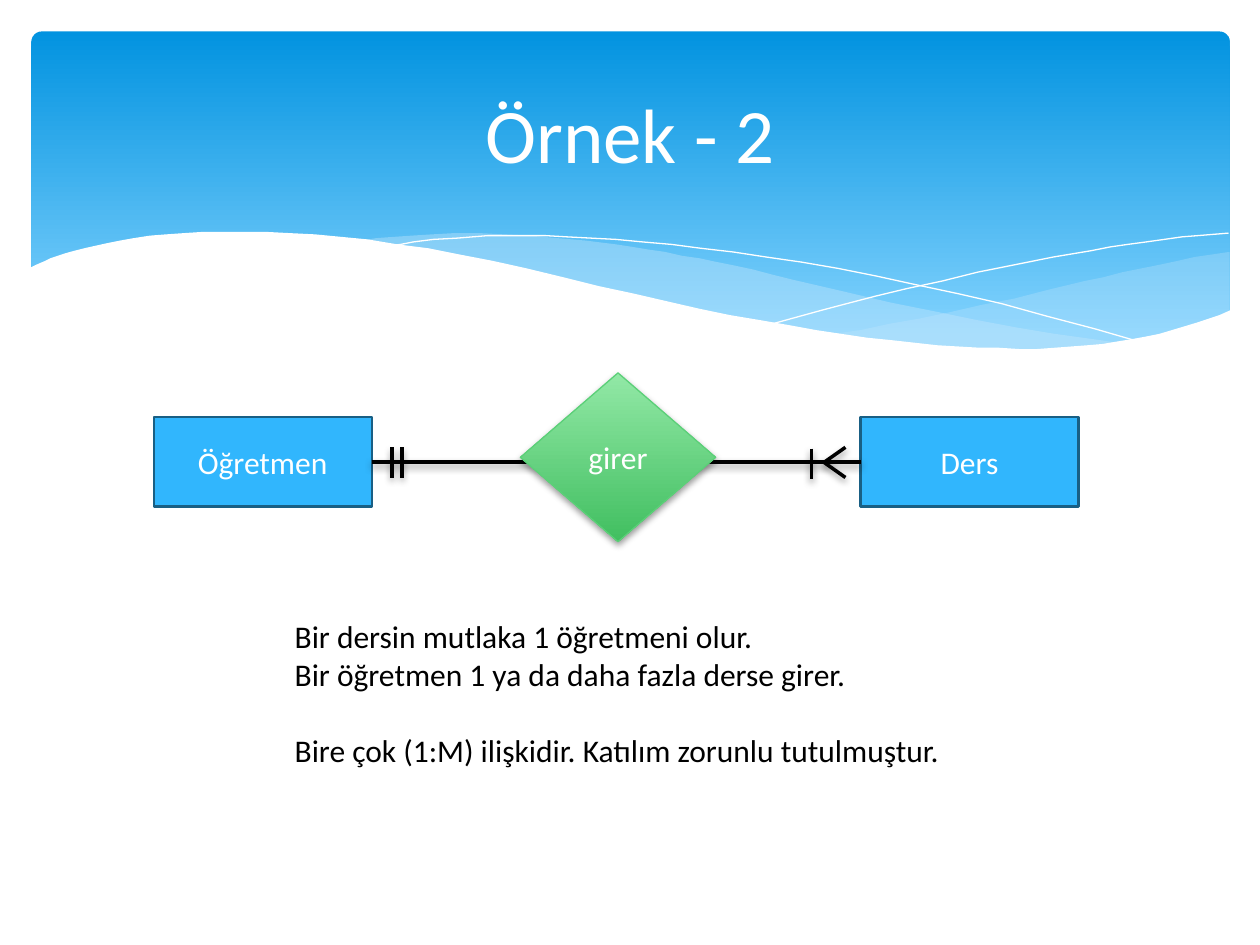
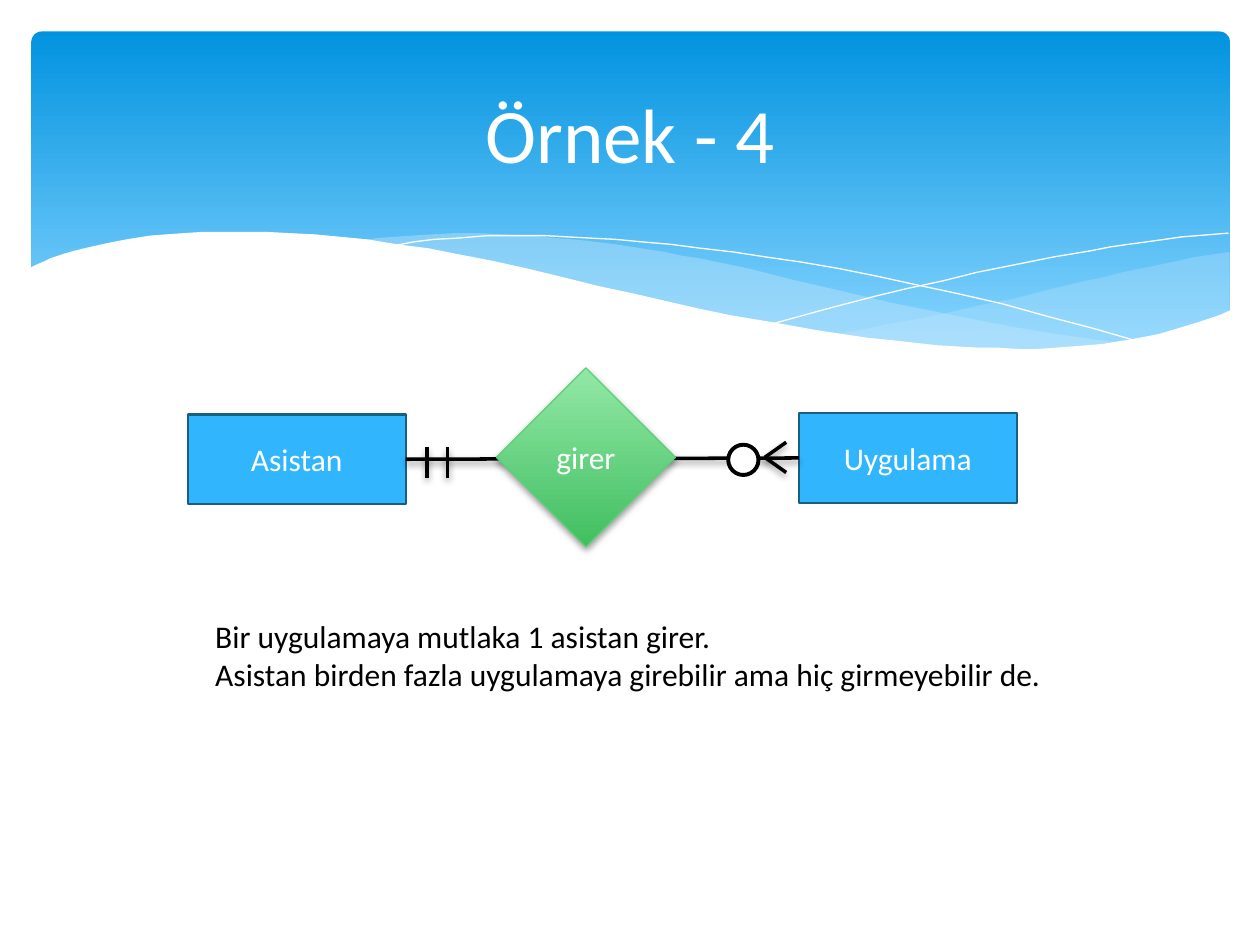
from dataclasses import dataclass

from pptx import Presentation
from pptx.dml.color import RGBColor
from pptx.enum.shapes import MSO_CONNECTOR as Connector, MSO_SHAPE as Shape
from pptx.enum.text import MSO_ANCHOR as Anchor, PP_ALIGN as Align
from pptx.oxml import parse_xml
from pptx.oxml.ns import nsdecls, qn
from pptx.util import Emu, Pt

EMU_PER_PX = 9144
FONT = "Calibri"
BODY_SIZE = 18
LINE_GAP = 22
COLORS = {
    "white": "FFFFFF",
    "black": "000000",
    "band_top": "0293E0",
    "band_bottom": "83D3FE",
    "wave": "C6E7FC",
    "entity": "31B6FD",
    "entity_edge": "195F84",
    "relation_top": "92E8A6",
    "relation_bottom": "41BF60",
    "relation_edge": "5BD078",
}

Point = tuple[int, int]
Box = tuple[int, int, int, int]

RIGHT_WAVE = (
    (975, 200), (962, 202), (948, 204), (935, 207), (921, 210), (906, 213), (891, 216), (876, 220),
    (861, 223), (832, 230), (805, 237), (779, 242), (753, 248), (729, 253), (706, 257), (683, 262),
    (661, 265), (676, 267), (691, 269), (705, 271), (719, 272), (732, 274), (745, 275), (757, 276),
    (781, 277), (803, 278), (814, 278), (835, 277), (854, 276), (872, 274), (889, 272), (905, 269),
    (921, 265), (935, 262), (949, 257), (963, 252), (976, 247), (976, 200),
)
LEFT_WAVE = (
    (893, 273), (880, 271), (866, 269), (837, 265), (807, 260), (775, 254), (741, 247), (706, 240),
    (668, 231), (629, 222), (613, 218), (598, 214), (584, 211), (569, 208), (555, 205), (541, 203),
    (528, 200), (514, 198), (502, 196), (489, 194), (465, 191), (442, 189), (420, 187), (399, 186),
    (380, 185), (361, 185), (344, 186), (328, 187), (313, 188), (299, 189), (286, 191), (304, 194),
    (323, 196), (342, 199), (362, 203), (383, 207), (404, 211), (427, 216), (449, 222), (491, 232),
    (530, 240), (566, 248), (601, 255), (634, 261), (665, 266), (695, 270), (722, 274), (748, 276),
    (773, 277), (796, 278), (838, 278), (857, 277), (876, 275), (893, 273),
)
FALLING_CURVE = (
    (309, 195), (318, 194), (328, 192), (344, 190), (363, 189), (387, 187), (416, 187), (433, 187),
    (450, 188), (469, 189), (489, 190), (510, 192), (533, 194), (556, 197), (582, 200), (608, 204),
    (636, 208), (665, 213), (695, 219), (727, 226), (760, 233), (795, 241), (831, 251), (869, 261),
    (907, 272),
)
RISING_CURVE = (
    (613, 257), (624, 254), (653, 246), (672, 241), (695, 235), (720, 229), (748, 223), (776, 216),
    (806, 210), (836, 204), (866, 199), (881, 196), (895, 194), (910, 192), (924, 190), (938, 188),
    (951, 187), (963, 186), (975, 185),
)
WHITE_WAVE = (
    (977, 246), (968, 250), (959, 253), (950, 256), (940, 259), (930, 262), (920, 265), (910, 267),
    (899, 269), (887, 271), (875, 273), (863, 274), (850, 275), (837, 276), (823, 277), (809, 277),
    (793, 276), (778, 276), (761, 275), (744, 274), (726, 272), (708, 270), (688, 268), (668, 265),
    (648, 262), (626, 258), (603, 254), (579, 250), (555, 245), (529, 239), (503, 233), (475, 227),
    (447, 220), (418, 213), (391, 207), (365, 202), (340, 197), (316, 194), (292, 190), (271, 188),
    (250, 186), (230, 185), (211, 184), (177, 184), (161, 184), (146, 185), (132, 186), (119, 187),
    (106, 189), (95, 191), (85, 193), (76, 195), (67, 197), (59, 199), (52, 201), (46, 203),
    (40, 205), (36, 207), (29, 210), (23, 213), (23, 329), (977, 329),
)


@dataclass(frozen=True)
class Entity:
    """A named rectangle, placed by its top left corner."""
    name: str
    left: int
    top: int


@dataclass(frozen=True)
class Example:
    """One relationship diagram with its explanation."""
    title: str
    source: Entity
    target: Entity
    relation: Box
    ticks: tuple[Point, ...]
    crow_tip: Point
    circles: tuple[Point, ...]
    note_box: Box
    note_blocks: tuple[tuple[str, ...], ...]


EXAMPLES = (
    Example(
        "Örnek - 2", Entity("Öğretmen", 122, 331), Entity("Ders", 683, 331),
        (413, 296, 155, 134), ((311, 355), (319, 355), (644, 356)), (654, 367), (),
        (224, 485, 555, 131),
        (("Bir dersin mutlaka 1 öğretmeni olur.",
          "Bir öğretmen 1 ya da daha fazla derse girer."),
         ("Bire çok (1:M) ilişkidir. Katılım zorunlu tutulmuştur.",)),
    ),
    Example(
        "Örnek - 4", Entity("Asistan", 149, 329), Entity("Uygulama", 634, 328),
        (394, 292, 142, 142), ((339, 355), (355, 355)), (607, 363), ((578, 353),),
        (161, 485, 748, 131),
        (("Bir uygulamaya mutlaka 1 asistan girer.",
          "Asistan birden fazla uygulamaya girebilir ama hiç girmeyebilir de."),),
    ),
)


def px(*lengths: int) -> list[Emu]:
    """Turn px lengths into EMU."""
    return [Emu(length * EMU_PER_PX) for length in lengths]


def rgb(name: str) -> RGBColor:
    """Look up a named colour."""
    return RGBColor.from_string(COLORS[name])


def set_line(shape, color: str | None, width: float = 0) -> None:
    """Outline a shape, or remove its outline."""
    if color is None:
        shape.line.fill.background()
    else:
        shape.line.color.rgb = rgb(color)
        shape.line.width = Pt(width)


def set_solid(shape, color: str, opacity: int = 100) -> None:
    """Fill a shape with one colour at the given opacity in percent."""
    shape.fill.solid()
    shape.fill.fore_color.rgb = rgb(color)
    if opacity < 100:
        color_element = shape.fill._xPr.find(qn("a:solidFill"))[0]
        color_element.append(parse_xml(f'<a:alpha {nsdecls("a")} val="{opacity * 1000}"/>'))


def set_gradient(shape, top: str, bottom: str, end: float = 1.0) -> None:
    """Fill a shape from top to bottom between two colours."""
    shape.fill.gradient()
    shape.fill.gradient_angle = 270
    for stop, color, position in zip(shape.fill.gradient_stops, (top, bottom), (0.0, end)):
        stop.color.rgb = rgb(color)
        stop.position = position


def add_soft_shadow(shape) -> None:
    """Give a shape or connector a soft shadow below it."""
    properties = shape._element.spPr
    for effects in properties.findall(qn("a:effectLst")):
        properties.remove(effects)
    properties.append(parse_xml(
        f'<a:effectLst {nsdecls("a")}><a:outerShdw blurRad="{Pt(4)}" dist="{Pt(2)}" '
        f'dir="5400000" rotWithShape="0"><a:srgbClr val="{COLORS["black"]}">'
        '<a:alpha val="38000"/></a:srgbClr></a:outerShdw></a:effectLst>'))


def write(shape, lines: list[tuple[str, int]], color: str, size: int,
          align: Align, anchor: Anchor) -> None:
    """Write lines, each with its space before, into a shape."""
    frame = shape.text_frame
    frame.word_wrap = True
    frame.vertical_anchor = anchor
    for index, (text, space) in enumerate(lines):
        paragraph = frame.add_paragraph() if index else frame.paragraphs[0]
        paragraph.text = text
        paragraph.alignment = align
        if space:
            paragraph.space_before = Pt(space)
        paragraph.font.name = FONT
        paragraph.font.size = Pt(size)
        paragraph.font.color.rgb = rgb(color)


def write_label(shape, text: str, size: int = BODY_SIZE) -> None:
    """Write one white centred label."""
    write(shape, [(text, 0)], "white", size, Align.CENTER, Anchor.MIDDLE)


def add_preset(slide, kind: Shape, box: Box):
    """Add a preset shape without a shadow."""
    shape = slide.shapes.add_shape(kind, *px(*box))
    shape.shadow.inherit = False
    return shape


def add_outline(slide, points: tuple[Point, ...], closed: bool):
    """Add a freeform through the points."""
    builder = slide.shapes.build_freeform(*points[0], scale=EMU_PER_PX)
    builder.add_line_segments(points[1:], close=closed)
    shape = builder.convert_to_shape()
    shape.shadow.inherit = False
    return shape


def add_wave(slide, points: tuple[Point, ...], color: str, opacity: int = 100) -> None:
    """Add a filled wave."""
    shape = add_outline(slide, points, True)
    set_solid(shape, color, opacity)
    set_line(shape, None)


def add_curve(slide, points: tuple[Point, ...]) -> None:
    """Add a white hairline curve."""
    shape = add_outline(slide, points, False)
    shape.fill.background()
    set_line(shape, "white")


def add_header(slide, title: str) -> None:
    """Add the blue band with its waves and the title."""
    band = add_preset(slide, Shape.ROUNDED_RECTANGLE, (25, 25, 951, 270))
    band.adjustments[0] = 0.03
    set_gradient(band, "band_top", "band_bottom", 0.9)
    set_line(band, None)
    add_wave(slide, RIGHT_WAVE, "wave", 29)
    add_wave(slide, LEFT_WAVE, "wave", 40)
    add_curve(slide, FALLING_CURVE)
    add_curve(slide, RISING_CURVE)
    add_wave(slide, WHITE_WAVE, "white")
    write_label(slide.shapes.add_textbox(*px(50, 37, 900, 137)), title, 44)


def add_stroke(slide, start: Point, end: Point):
    """Add a black line with a soft shadow."""
    stroke = slide.shapes.add_connector(Connector.STRAIGHT, *px(*start, *end))
    set_line(stroke, "black", 2)
    add_soft_shadow(stroke)
    return stroke


def add_entity(slide, entity: Entity):
    """Add an entity rectangle."""
    shape = add_preset(slide, Shape.RECTANGLE, (entity.left, entity.top, 173, 71))
    set_solid(shape, "entity")
    set_line(shape, "entity_edge", 1.25)
    write_label(shape, entity.name)
    return shape


def add_diagram(slide, example: Example) -> None:
    """Add both entities, their link, its cardinality marks and the relation."""
    source, target = (add_entity(slide, entity) for entity in (example.source, example.target))
    link = add_stroke(slide, (0, 0), (1, 1))
    link.begin_connect(source, 3)
    link.end_connect(target, 1)
    for x, y in example.ticks:
        add_stroke(slide, (x, y), (x, y + 24))
    tip_x, tip_y = example.crow_tip
    for rise in (-12, 12):
        add_stroke(slide, (tip_x + 17, tip_y + rise), example.crow_tip)
    for x, y in example.circles:
        circle = add_preset(slide, Shape.OVAL, (x, y, 24, 24))
        set_solid(circle, "white")
        set_line(circle, "black", 2.25)
    relation = add_preset(slide, Shape.DIAMOND, example.relation)
    set_gradient(relation, "relation_top", "relation_bottom")
    set_line(relation, "relation_edge", 0.75)
    add_soft_shadow(relation)
    write_label(relation, "girer")


def add_note(slide, example: Example) -> None:
    """Add the explanation, with a gap between its blocks."""
    lines = [(text, LINE_GAP if block_index and not line_index else 0)
             for block_index, block in enumerate(example.note_blocks)
             for line_index, text in enumerate(block)]
    note = slide.shapes.add_textbox(*px(*example.note_box))
    write(note, lines, "black", BODY_SIZE, Align.LEFT, Anchor.TOP)


def main() -> None:
    """Build the presentation."""
    presentation = Presentation()
    presentation.slide_width, presentation.slide_height = px(1000, 750)
    for example in EXAMPLES:
        slide = presentation.slides.add_slide(presentation.slide_layouts[6])
        add_header(slide, example.title)
        add_diagram(slide, example)
        add_note(slide, example)
    presentation.save("out.pptx")


if __name__ == "__main__":
    main()
